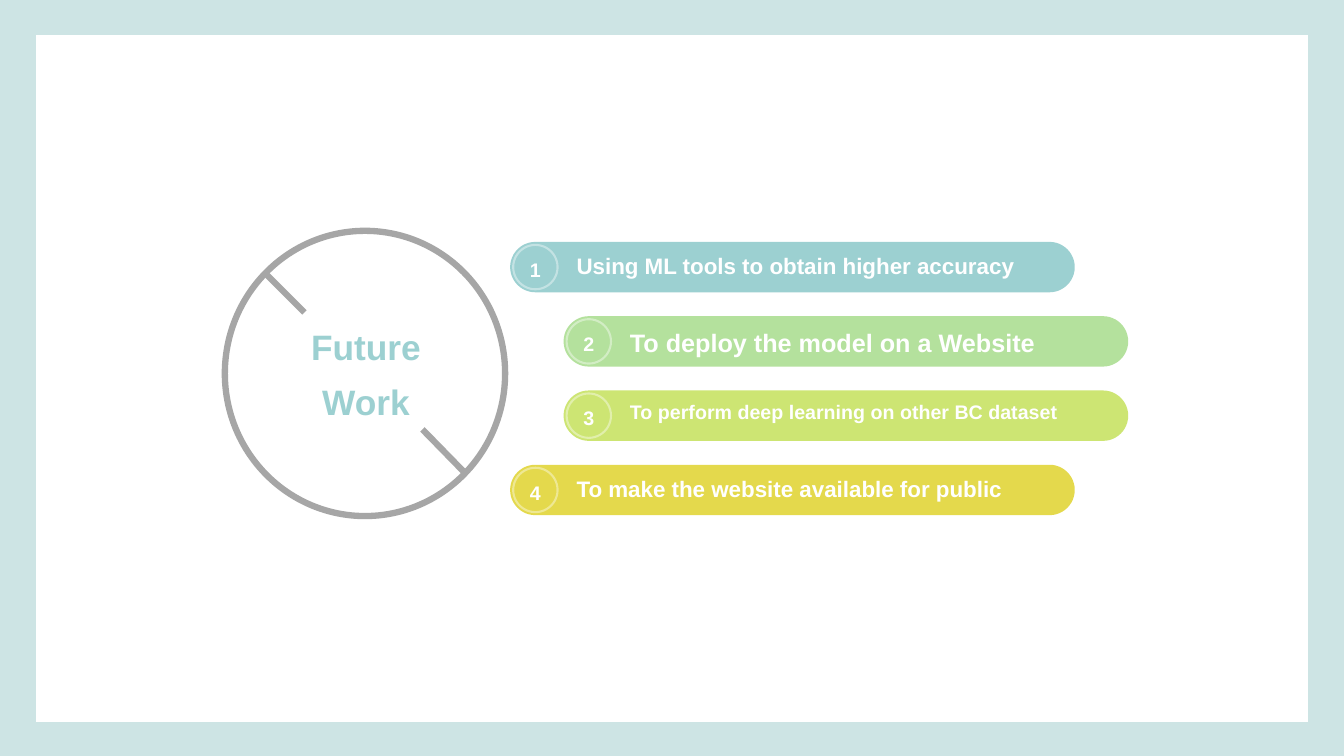
from lxml import etree
from pptx import Presentation
from pptx.dml.color import RGBColor
from pptx.enum.shapes import MSO_CONNECTOR, MSO_SHAPE
from pptx.enum.text import MSO_ANCHOR, MSO_AUTO_SIZE, PP_ALIGN
from pptx.oxml.ns import qn
from pptx.util import Inches, Pt

CENTER, LEFT = PP_ALIGN.CENTER, PP_ALIGN.LEFT
TOP, MIDDLE = MSO_ANCHOR.TOP, MSO_ANCHOR.MIDDLE
RECTANGLE, OVAL = MSO_SHAPE.RECTANGLE, MSO_SHAPE.OVAL
PILL, STRAIGHT = MSO_SHAPE.ROUNDED_RECTANGLE, MSO_CONNECTOR.STRAIGHT
WHITE, PALE, TEAL, GRAY = "FFFFFF", "CDE4E4", "9CD0D1", "A6A6A6"

deck = Presentation()
deck.slide_width, deck.slide_height = Inches(13.33), Inches(7.5)
slide = deck.slides.add_slide(deck.slide_layouts[5])
slide.background.fill.solid()
slide.background.fill.fore_color.rgb = RGBColor.from_string(PALE)


def add_figure(kind, place, fill=None, line=None, width=0):
    figure = slide.shapes.add_shape(kind, *map(Inches, place))
    figure.shadow.inherit = False
    for part, color in ((figure.fill, fill), (figure.line.fill, line)):
        if color:
            part.solid()
            part.fore_color.rgb = RGBColor.from_string(color)
        else:
            part.background()
    if line:
        figure.line.width = Pt(width)
    return figure


def write(box, text, size, color, align, anchor, spacing, inset=0.05):
    frame = box.text_frame
    frame_format = {"word_wrap": True, "auto_size": MSO_AUTO_SIZE.NONE,
                    "vertical_anchor": anchor,
                    "margin_top": Inches(inset), "margin_bottom": Inches(inset)}
    for name, value in frame_format.items():
        setattr(frame, name, value)
    para = frame.paragraphs[0]
    para.alignment, para.line_spacing = align, spacing
    span = para.add_run()
    span.text = text
    font_format = {"name": "Arial", "size": Pt(size), "bold": True}
    for name, value in font_format.items():
        setattr(span.font, name, value)
    span.font.color.rgb = RGBColor.from_string(color)


add_figure(RECTANGLE, (0.34, 0.33, 12.65, 6.85), WHITE, PALE, 2)

# Numbered bars: the two in the middle are indented
first_top, pitch, bar_width, bar_height = 2.4, 0.737, 5.6, 0.5
badge_size, badge_gap, label_offset = 0.44, 0.03, 0.56
bars = [
    ("Using ML tools to obtain higher accuracy", 16, TEAL, 5.06),
    ("To deploy the model on a Website", 18, "B4E19D", 5.59),
    ("To perform deep learning on other BC dataset", 14, "CDE573", 5.59),
    ("To make the website available for public", 16, "E4D94C", 5.06),
]
for row, (text, size, color, left) in enumerate(bars):
    top = first_top + row * pitch
    bar = add_figure(PILL, (left, top, bar_width, bar_height), color)
    bar.adjustments[0] = 0.5

    badge = add_figure(OVAL, (left + badge_gap, top + badge_gap, badge_size, badge_size),
                       line=WHITE, width=1.5)
    line_color = badge.line._get_or_add_ln().find(".//" + qn("a:srgbClr"))
    etree.SubElement(line_color, qn("a:alpha"), val="40000")
    write(badge, str(row + 1), 14, WHITE, CENTER, MIDDLE, 1.2, inset=0)

    label = slide.shapes.add_textbox(Inches(left + label_offset), Inches(top),
                                     Inches(4.8), Inches(bar_height))
    write(label, text, size, WHITE, LEFT, TOP, 1.2)

# Ring with two diagonal ticks around the title
add_figure(OVAL, (2.23, 2.29, 2.78, 2.83), line=GRAY, width=4.5)
for ends in ((2.63, 2.71, 3.02, 3.1), (4.19, 4.26, 4.62, 4.7)):
    tick = slide.shapes.add_connector(STRAIGHT, *map(Inches, ends))
    tick.line.width = Pt(4.5)
    tick.line.color.rgb = RGBColor.from_string(GRAY)
    etree.SubElement(tick._element.spPr, qn("a:effectLst"))

title = slide.shapes.title
title.left, title.top, title.width, title.height = map(Inches, (2.63, 3.04, 2, 1.22))
write(title, "Future Work", 25.2, TEAL, CENTER, MIDDLE, 1.3)
slide.shapes._spTree.append(title._element)  # bring the title to the front

deck.save("out.pptx")
